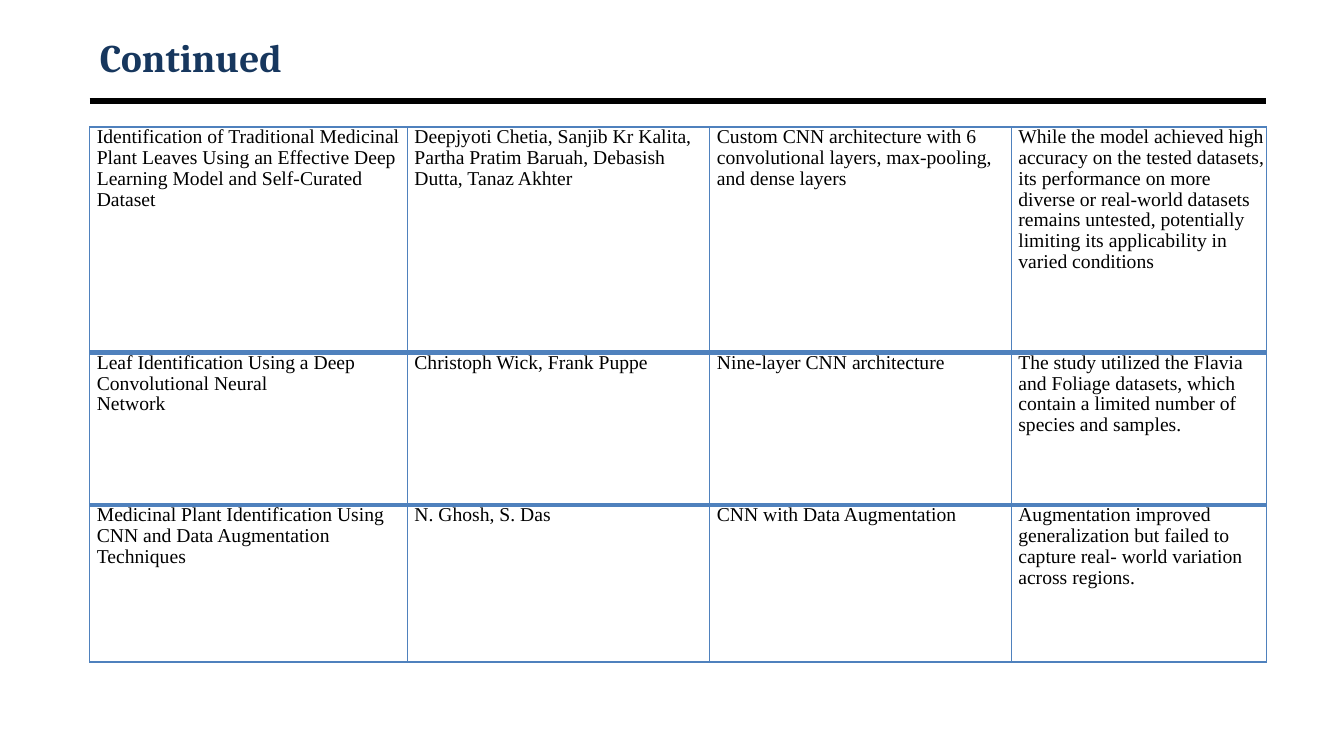
from dataclasses import dataclass

from lxml.etree import SubElement
from pptx import Presentation
from pptx.dml.color import RGBColor
from pptx.enum.shapes import MSO_CONNECTOR
from pptx.enum.text import MSO_ANCHOR, PP_ALIGN
from pptx.oxml import parse_xml
from pptx.oxml.ns import nsdecls, qn
from pptx.slide import Slide
from pptx.table import _Cell
from pptx.util import Inches, Pt

COLORS = {"title": "17375E", "text": "000000", "rule": "000000", "border": "4F81BD"}
SLIDE_WIDTH, SLIDE_HEIGHT = Inches(13.33), Inches(7.5)
GRID_COLUMNS, GRID_ROWS = 1333, 750
LEFT, WIDTH = 89, 1167
COLUMN_SPANS = (315, 300, 299, 253)
TEXT_INDENT = 7
NO_MARGINS = {"margin_left": 0, "margin_right": 0, "margin_top": 0, "margin_bottom": 0}
TITLE_FONT = {"name": "Cambria", "size": Pt(28), "bold": True}
CELL_FONT = {"name": "Times New Roman", "size": Pt(14), "bold": False}
CELL_PARAGRAPH = {"alignment": PP_ALIGN.LEFT, "line_spacing": 0.96}


@dataclass(frozen=True)
class Study:
    title: str
    authors: str
    method: str
    limitation: str
    row_span: int
    top_border: float
    bottom_border: float

    @property
    def texts(self) -> tuple[str, ...]:
        return self.title, self.authors, self.method, self.limitation


@dataclass(frozen=True)
class StudyTable:
    top: int
    studies: tuple[Study, ...]


TABLES = (
    StudyTable(126, (
        Study(
            "Identification of Traditional Medicinal Plant Leaves Using an "
            "Effective Deep Learning Model and Self-Curated Dataset",
            "Deepjyoti Chetia, Sanjib Kr Kalita, Partha Pratim Baruah, "
            "Debasish Dutta, Tanaz Akhter",
            "Custom CNN architecture with 6 convolutional layers, "
            "max-pooling, and dense layers",
            "While the model achieved high accuracy on the tested datasets, "
            "its performance on more diverse or real-world datasets remains "
            "untested, potentially limiting its applicability in varied conditions",
            224, 1, 4,
        ),
        Study(
            "Leaf Identification Using a Deep Convolutional Neural\nNetwork",
            "Christoph Wick, Frank Puppe",
            "Nine-layer CNN architecture",
            "The study utilized the Flavia and Foliage datasets, which\n"
            "contain a limited number of species and samples.",
            151, 4, 1,
        ),
    )),
    StudyTable(501, (
        Study(
            "Medicinal Plant Identification Using CNN and Data Augmentation Techniques",
            "N. Ghosh, S. Das",
            "CNN with Data Augmentation",
            "Augmentation improved generalization but failed to capture "
            "real- world variation across regions.",
            156, 4, 2,
        ),
    )),
)


def across(columns: int) -> int:
    return round(SLIDE_WIDTH * columns / GRID_COLUMNS)


def down(rows: int) -> int:
    return round(SLIDE_HEIGHT * rows / GRID_ROWS)


def apply_format(target: object, values: dict) -> None:
    for name, value in values.items():
        setattr(target, name, value)


def add_title(page: Slide, text: str) -> None:
    title = page.shapes.title
    apply_format(title, {"left": across(LEFT), "top": down(30),
                         "width": across(WIDTH), "height": down(53)})
    frame = title.text_frame
    apply_format(frame, {"text": text, "word_wrap": True,
                         "vertical_anchor": MSO_ANCHOR.MIDDLE})
    para = frame.paragraphs[0]
    para.alignment = PP_ALIGN.LEFT
    span = para.runs[0]
    apply_format(span.font, TITLE_FONT)
    span.font.color.rgb = RGBColor.from_string(COLORS["title"])


def add_rule(page: Slide) -> None:
    rule = page.shapes.add_connector(
        MSO_CONNECTOR.STRAIGHT, across(LEFT), down(100), across(LEFT + WIDTH), down(100))
    rule.line.width = Pt(4.5)
    rule.line.color.rgb = RGBColor.from_string(COLORS["rule"])
    SubElement(rule._element.spPr, qn("a:effectLst"))


def set_borders(cell: _Cell, top: float, bottom: float) -> None:
    properties = cell._tc.get_or_add_tcPr()
    widths = {"lnL": 1, "lnR": 1, "lnT": top, "lnB": bottom}
    for position, (side, width) in enumerate(widths.items()):
        border = parse_xml(
            f'<a:{side} {nsdecls("a")} w="{Pt(width)}"><a:solidFill>'
            f'<a:srgbClr val="{COLORS["border"]}"/></a:solidFill></a:{side}>')
        properties.insert(position, border)


def fill_cell(cell: _Cell, text: str, study: Study) -> None:
    apply_format(cell, {"text": text, "vertical_anchor": MSO_ANCHOR.TOP, **NO_MARGINS})
    cell.fill.background()
    set_borders(cell, study.top_border, study.bottom_border)
    for para in cell.text_frame.paragraphs:
        apply_format(para, CELL_PARAGRAPH)
        para._p.get_or_add_pPr().set("marL", str(across(TEXT_INDENT)))
        for span in para.runs:
            apply_format(span.font, CELL_FONT)
            span.font.color.rgb = RGBColor.from_string(COLORS["text"])


def add_study_table(page: Slide, content: StudyTable) -> None:
    height = sum(study.row_span for study in content.studies)
    table = page.shapes.add_table(
        len(content.studies), len(COLUMN_SPANS),
        across(LEFT), down(content.top), across(WIDTH), down(height)).table
    apply_format(table, {"first_row": False, "horz_banding": False})
    for column, columns in zip(table.columns, COLUMN_SPANS):
        column.width = across(columns)
    for row, study in zip(table.rows, content.studies):
        row.height = down(study.row_span)
        for cell, text in zip(row.cells, study.texts):
            fill_cell(cell, text, study)


def main() -> None:
    deck = Presentation()
    apply_format(deck, {"slide_width": SLIDE_WIDTH, "slide_height": SLIDE_HEIGHT})
    page = deck.slides.add_slide(deck.slide_layouts.get_by_name("Title Only"))
    add_rule(page)
    add_title(page, "Continued")
    for content in TABLES:
        add_study_table(page, content)
    deck.save("out.pptx")


if __name__ == "__main__":
    main()
